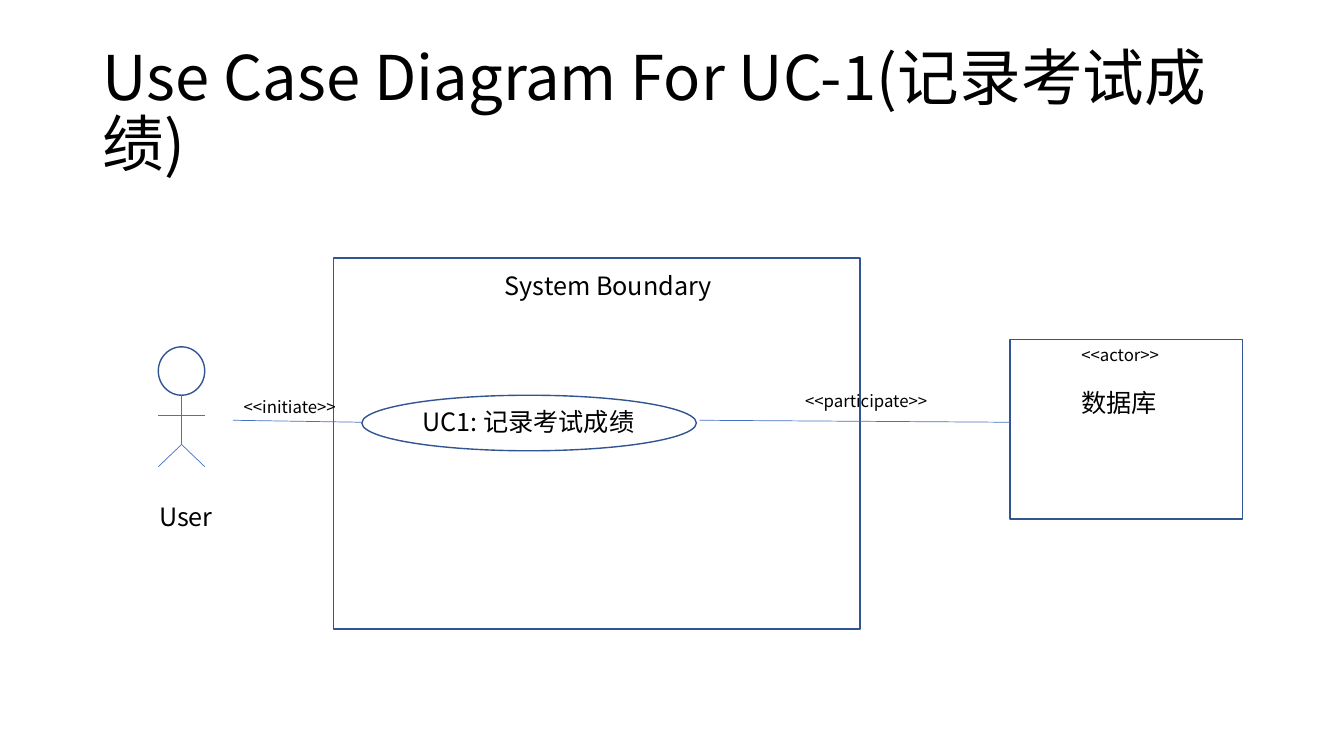
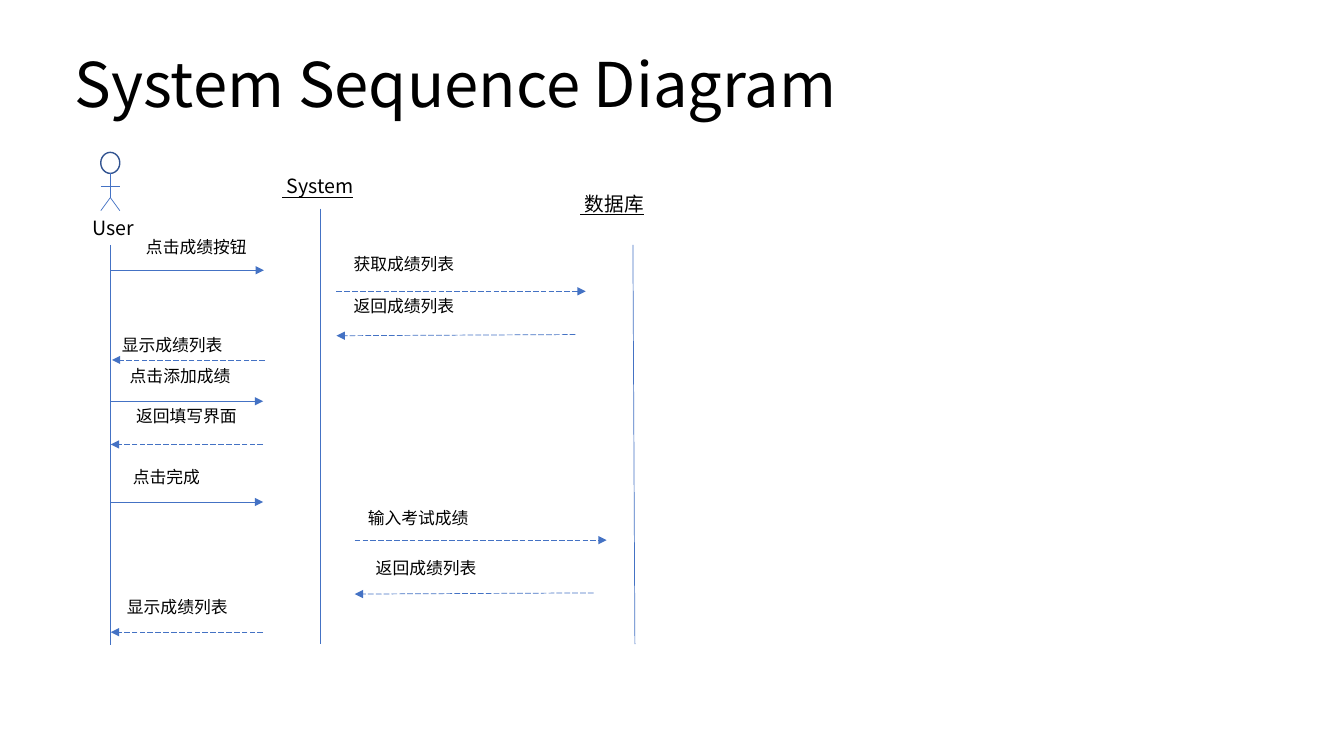
from pptx import Presentation
from pptx.dml.color import RGBColor
from pptx.enum.dml import MSO_LINE_DASH_STYLE as Dash
from pptx.enum.shapes import MSO_CONNECTOR as Link, MSO_SHAPE as Kind
from pptx.enum.text import MSO_ANCHOR as Anchor
from pptx.oxml.ns import qn
from pptx.util import Cm, Pt
from lxml.etree import SubElement

FONT = "Noto Sans CJK SC"
COLORS = {"text": "000000", "fill": "FFFFFF", "edge": "325491", "line": "4472C4"}

# All lengths are in cm.
# Use case diagram
CASE_TITLE = ("Use Case Diagram For UC-1(记录考试成绩)", 2.34, 1.02)
CASE_ACTOR = (3.99, 8.74, 1.17, (1.22, 1.73, 2.46, 3.02))
CASE_SHAPES = [  # kind, left, top, width, height
    (Kind.RECTANGLE, 8.41, 6.5, 13.26, 9.35),
    (Kind.OVAL, 9.12, 9.96, 8.43, 1.4),
    (Kind.RECTANGLE, 25.45, 8.56, 5.87, 4.52),
]
CASE_LINKS = [(5.87, 9.12), (17.63, 25.45)]  # from x, to x
LINK_Y = (10.59, 10.64)
CASE_TEXTS = [  # text, left, top, width, size
    ("User", 3.76, 12.5, 2.24, 18),
    ("UC1: 记录考试成绩", 10.39, 10.11, 7.9, 18),
    ("<<initiate>>", 5.89, 9.88, 3.23, 12),
    ("System Boundary", 12.47, 6.68, 6.55, 18),
    ("<<participate>>", 20.04, 9.73, 4.32, 12),
    ("<<actor>>", 27, 8.56, 4.32, 12),
    ("数据库", 27, 9.63, 2.9, 18),
]

# Sequence diagram
USER = 2.79
SEQ_TITLE = ("System Sequence Diagram", 1.63, 0.36)
SEQ_ACTOR = (2.54, 3.84, 0.48, (0.53, 0.86, 1.14, 1.47))
SEQ_HEADS = [  # text, left, top, underlined
    ("User", 2.08, 5.31, False),
    (" System", 6.86, 4.27, True),
    (" 数据库", 14.38, 4.7, True),
]
LIVES = [  # from x, from y, to x, to y
    (USER, 6.17, USER, 16.26),
    (8.08, 5.26, 8.08, 16.23),
    (15.95, 6.17, 16, 16.23),
]
CALLS = [  # text, left, top, arrow from x, to x, from y, to y
    ("点击成绩按钮", 3.43, 5.84, USER, 6.65, 6.81, 6.81),
    ("获取成绩列表", 8.66, 6.27, 8.48, 14.76, 7.34, 7.34),
    ("返回成绩列表", 8.66, 7.34, 14.5, 8.48, 8.43, 8.46),
    ("显示成绩列表", 2.82, 8.31, 6.68, 2.82, 9.07, 9.07),
    ("点击添加成绩", 3.02, 9.09, USER, 6.63, 10.11, 10.11),
    ("返回填写界面", 3.18, 10.11, 6.63, USER, 11.2, 11.2),
    ("点击完成", 3.1, 11.63, USER, 6.63, 12.65, 12.65),
    ("输入考试成绩", 9.02, 12.67, 8.94, 15.29, 13.61, 13.61),
    ("返回成绩列表", 9.22, 13.94, 14.96, 8.94, 14.94, 14.97),
    ("显示成绩列表", 2.95, 14.91, 6.63, USER, 15.93, 15.93),
]


def color(name):
    return RGBColor.from_string(COLORS[name])


def add_text(slide, text, left, top, width, size, height=0.8, under=False):
    box = slide.shapes.add_textbox(Cm(left), Cm(top), Cm(width), Cm(height))
    frame = box.text_frame
    frame.word_wrap = True
    frame.text = text
    run = frame.paragraphs[0].runs[0]
    font = run.font
    font.name, font.size = FONT, Pt(size)
    font.color.rgb = color("text")
    if under:
        font.underline = True
    SubElement(font._element, qn("a:ea"), typeface=FONT)
    return frame


def add_title(slide, text, left, top):
    frame = add_text(slide, text, left, top, 29.21, 44, 3.68)
    frame.vertical_anchor = Anchor.MIDDLE
    frame.paragraphs[0].line_spacing = 0.9


def add_shape(slide, kind, *place):
    shape = slide.shapes.add_shape(kind, *map(Cm, place))
    shape.shadow.inherit = False
    shape.fill.solid()
    shape.fill.fore_color.rgb = color("fill")
    shape.line.color.rgb = color("edge")
    shape.line.width = Pt(1)


def add_line(slide, x1, y1, x2, y2, dashed=False, arrow=False):
    link = slide.shapes.add_connector(Link.STRAIGHT, *map(Cm, (x1, y1, x2, y2)))
    line = link.line
    line.color.rgb = color("line")
    line.width = Pt(0.5)
    if dashed:
        line.dash_style = Dash.LONG_DASH
    if arrow:
        SubElement(line._get_or_add_ln(), qn("a:tailEnd"), type="triangle")
    SubElement(link._element.spPr, qn("a:effectLst"))


def add_actor(slide, left, top, width, steps):
    """Stick figure; steps are the depths of neck, arms, hip and feet."""
    neck, arms, hip, feet = (top + step for step in steps)
    mid, right = left + width / 2, left + width
    add_shape(slide, Kind.OVAL, left, top, width, steps[0])
    add_line(slide, left, arms, right, arms)
    add_line(slide, mid, neck, mid, hip)
    for foot in (left, right):
        add_line(slide, mid, hip, foot, feet)


def draw_case(slide):
    add_title(slide, *CASE_TITLE)
    for shape in CASE_SHAPES:
        add_shape(slide, *shape)
    add_actor(slide, *CASE_ACTOR)
    for start, end in CASE_LINKS:
        add_line(slide, start, LINK_Y[0], end, LINK_Y[1])
    for text in CASE_TEXTS:
        add_text(slide, *text)


def draw_sequence(slide):
    add_title(slide, *SEQ_TITLE)
    add_actor(slide, *SEQ_ACTOR)
    for text, left, top, under in SEQ_HEADS:
        add_text(slide, text, left, top, 3.18, 14, under=under)
    for life in LIVES:
        add_line(slide, *life)
    for text, left, top, x1, x2, y1, y2 in CALLS:
        add_line(slide, x1, y1, x2, y2, dashed=x1 != USER, arrow=True)
        add_text(slide, text, left, top, 4, 12)


def main():
    deck = Presentation()
    deck.slide_width, deck.slide_height = Cm(33.87), Cm(19.05)
    for draw in (draw_case, draw_sequence):
        draw(deck.slides.add_slide(deck.slide_layouts[6]))
    deck.save("out.pptx")


if __name__ == "__main__":
    main()
